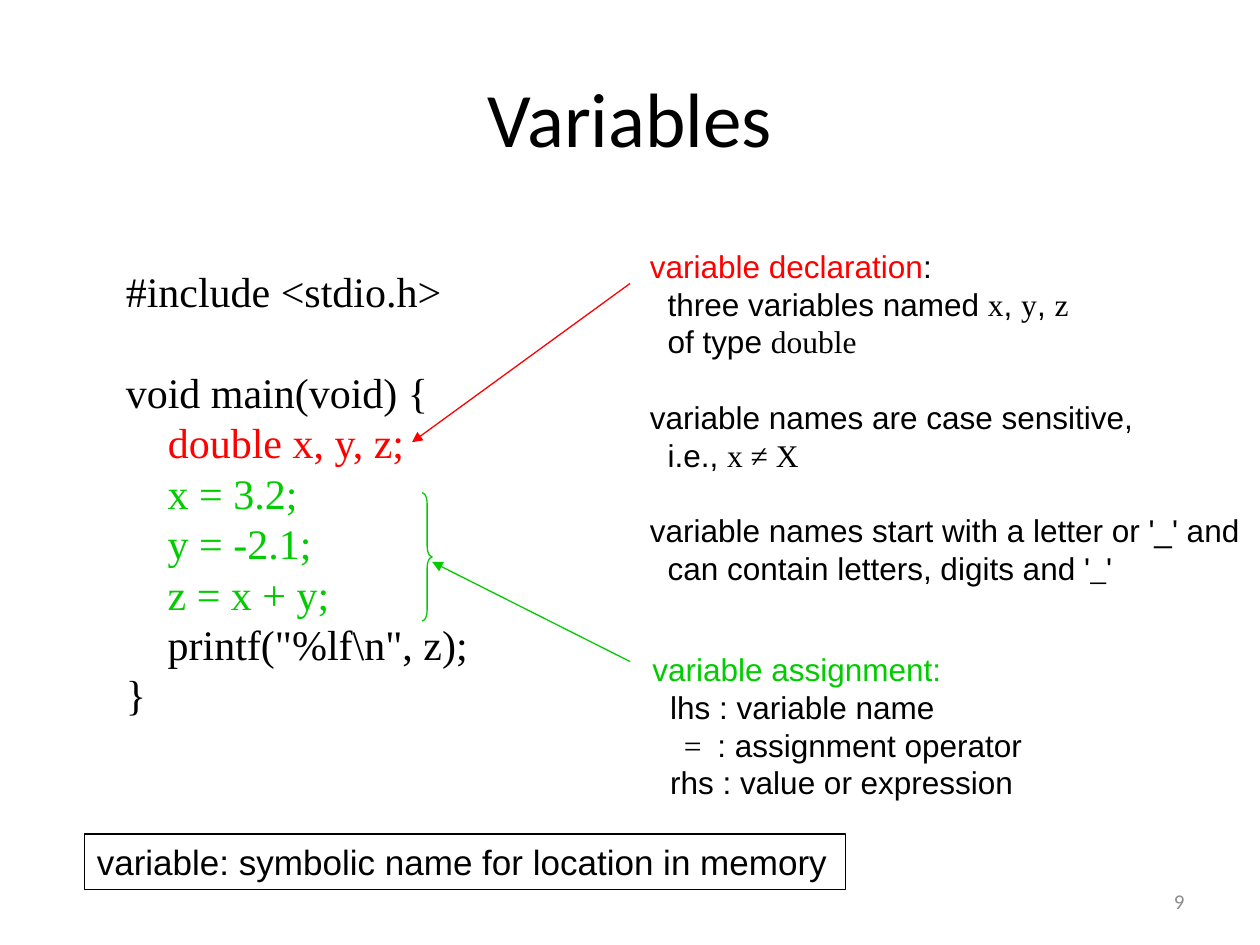
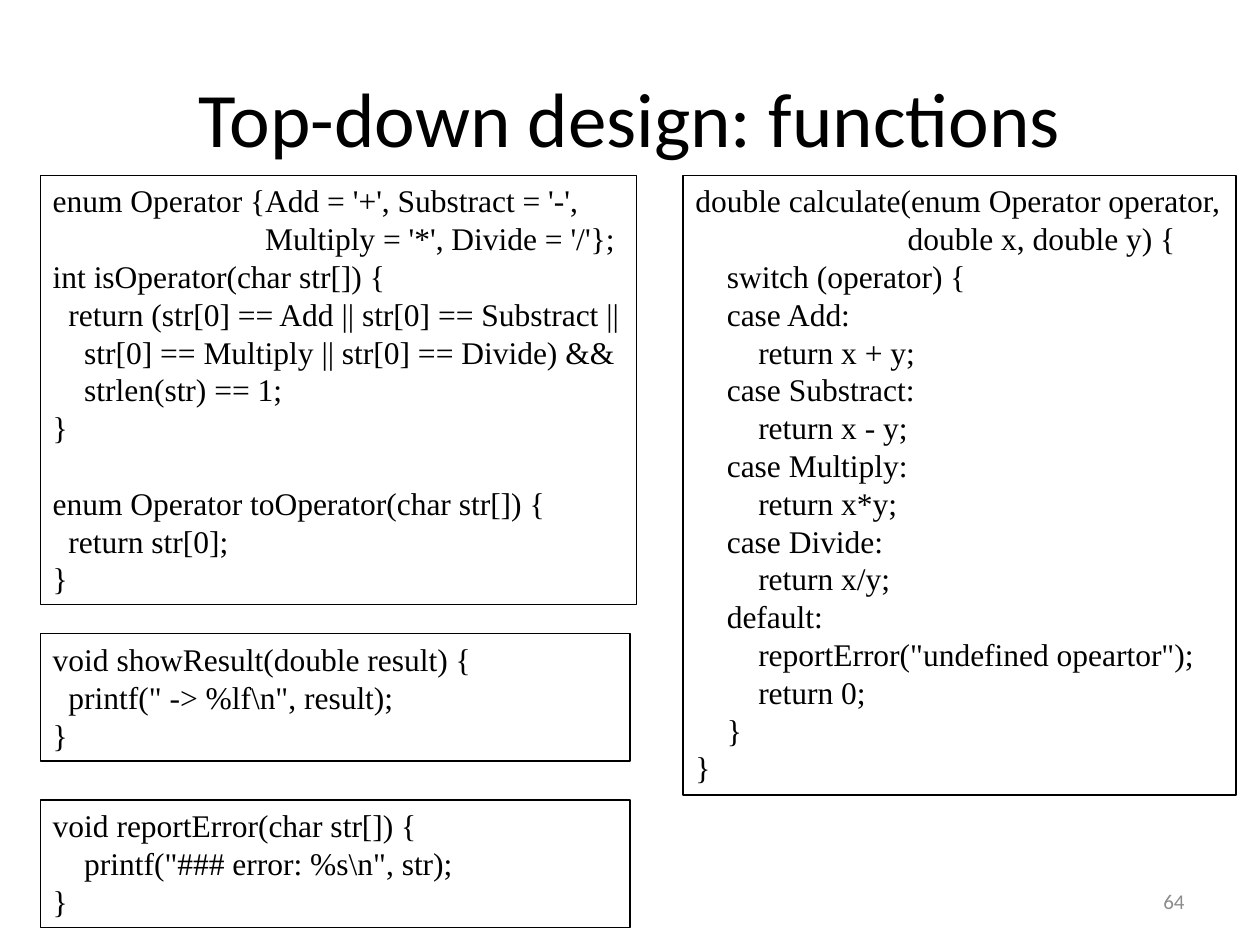
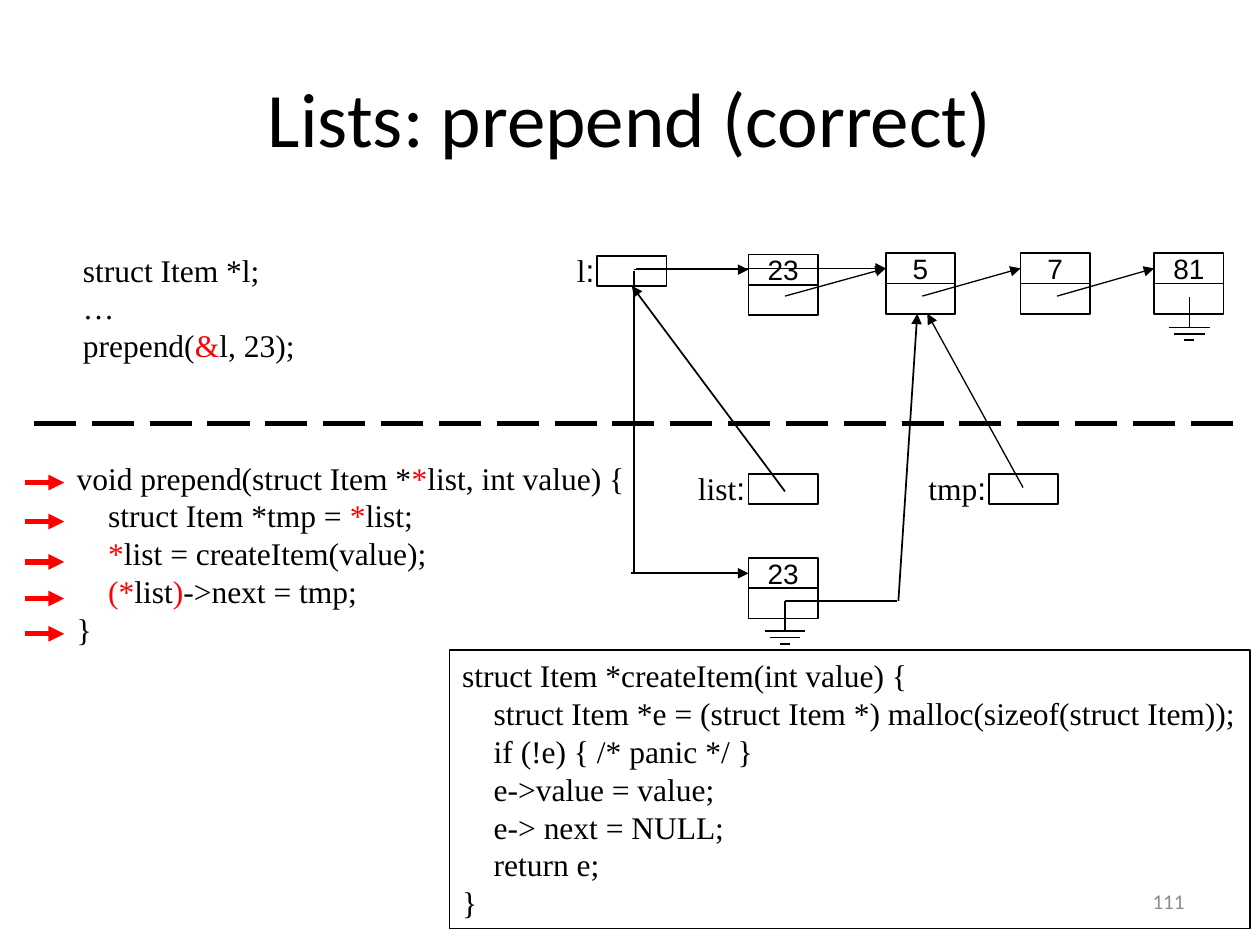
from dataclasses import dataclass

import pptx
import pptx.dml.color
import pptx.enum.dml
import pptx.enum.shapes
import pptx.enum.text
import pptx.oxml
import pptx.oxml.ns
import pptx.util

EMU_PER_PX = 9144  # 100 px to the inch
COLOURS = {"black": "000000", "white": "FFFFFF", "red": "FF0000",
           "green": "00CC00", "grey": "8C8C8C"}
HEADING, PROSE, CODE = "Calibri", "Arial", "Times New Roman"
LEADING = 1.2
SHAPES = pptx.enum.shapes.MSO_SHAPE
ANCHOR = pptx.enum.text.MSO_ANCHOR
ALIGN = pptx.enum.text.PP_ALIGN
LEFT_SIDE, BOTTOM_SIDE = 1, 2


@dataclass
class Run:
    text: str
    colour: str = "black"
    face: str = ""


@dataclass
class Line:
    runs: list
    indent: int = 0
    gap: bool = False


# Shared helpers
def px(*lengths):
    return [pptx.util.Emu(length * EMU_PER_PX) for length in lengths]


def rgb(name):
    return pptx.dml.color.RGBColor.from_string(COLOURS[name])


def assign(target, values):
    for key, value in values.items():
        setattr(target, key, value)


def red(text):
    return Run(text, "red")


def green(text):
    return Run(text, "green")


def code(text):
    return Run(text, face=CODE)


def write(frame, lines, size, face, align=ALIGN.LEFT, **frame_format):
    """Fill a frame with strings, run lists or Lines."""
    assign(frame, {"word_wrap": True, "auto_size": pptx.enum.text.MSO_AUTO_SIZE.NONE,
                   "vertical_anchor": ANCHOR.TOP, **frame_format})
    for number, line in enumerate(lines):
        if not isinstance(line, Line):
            line = Line(line if isinstance(line, list) else [line])
        paragraph = frame.add_paragraph() if number else frame.paragraphs[0]
        properties = paragraph._p.get_or_add_pPr()
        properties.set("marL", str(px(line.indent)[0]))
        properties.set("indent", "0")
        leading = pptx.util.Pt(size * LEADING)
        assign(paragraph, {"alignment": align, "line_spacing": leading,
                           "space_before": leading if line.gap else 0})
        for part in line.runs:
            part = Run(part) if isinstance(part, str) else part
            run = paragraph.add_run()
            run.text = part.text
            assign(run.font, {"size": pptx.util.Pt(size), "name": part.face or face})
            run.font.color.rgb = rgb(part.colour)


def text(slide, box, lines, size=18, face=CODE, **options):
    note = slide.shapes.add_textbox(*px(*box))
    write(note.text_frame, lines, size, face, **options)


def outline(slide, box, kind=SHAPES.RECTANGLE, colour="black", width=0.75, fill=None):
    shape = slide.shapes.add_shape(kind, *px(*box))
    shape.shadow.inherit = False
    if fill:
        shape.fill.solid()
        shape.fill.fore_color.rgb = rgb(fill)
    else:
        shape.fill.background()
    shape.line.color.rgb = rgb(colour)
    shape.line.width = pptx.util.Pt(width)
    return shape


def framed(slide, box, lines, size=18, face=CODE):
    write(outline(slide, box).text_frame, lines, size, face)


def link(slide, start, end, colour="black", width=1, arrow=False, dash=None,
         target=None, side=LEFT_SIDE):
    connector = slide.shapes.add_connector(
        pptx.enum.shapes.MSO_CONNECTOR.STRAIGHT, *px(*start, *end))
    if target is not None:
        connector.end_connect(target, side)
    connector.line.color.rgb = rgb(colour)
    assign(connector.line, {"width": pptx.util.Pt(width), "dash_style": dash})
    properties = connector._element.spPr
    namespace = pptx.oxml.ns.nsdecls("a")
    if arrow:
        properties.get_or_add_ln().append(
            pptx.oxml.parse_xml(f'<a:tailEnd {namespace} type="triangle"/>'))
    properties.append(pptx.oxml.parse_xml(f"<a:effectLst {namespace}/>"))


def new_slide(deck, heading, number):
    slide = deck.slides.add_slide(deck.slide_layouts[5])
    title = slide.shapes.title
    assign(title, dict(zip(("left", "top", "width", "height"), px(50, 30, 900, 125))))
    write(title.text_frame, [heading], 44, HEADING, ALIGN.CENTER,
          vertical_anchor=ANCHOR.MIDDLE)
    text(slide, (717, 695, 233, 40), [[Run(number, "grey")]], 12, HEADING,
         align=ALIGN.RIGHT, vertical_anchor=ANCHOR.MIDDLE)
    return slide


# Slide: variables
def declaration_notes(slide, left, top):
    link(slide, (left - 6, top + 34), (left - 179, top + 160), "red", 0.75, arrow=True)
    text(slide, (left, top, 493, 313), [
        [red("variable declaration"), ":"],
        Line(["three variables named ", code("x"), ", ", code("y"), ", ", code("z")], 14),
        Line(["of type ", code("double")], 14),
        Line(["variable names are case sensitive,"], gap=True),
        Line(["i.e., ", code("x ≠ X")], 14),
        Line(["variable names start with a letter or '_' and"], gap=True),
        Line(["can contain letters, digits and '", code("_"), "'"], 14),
    ], face=PROSE)


def assignment_notes(slide, left, top):
    link(slide, (left - 8, top + 14), (left - 165, top - 65), "green", 0.75, arrow=True)
    brace = outline(slide, (left - 173, top - 120, 8, 102), SHAPES.RIGHT_BRACE, "green")
    brace.adjustments[0] = 1.09
    text(slide, (left, top, 327, 130), [
        [green("variable assignment:")],
        Line(["lhs : variable name"], 14),
        Line([code("=  "), ": assignment operator"], 25),
        Line(["rhs : value or expression"], 14),
    ], face=PROSE)


def variables_slide(deck):
    slide = new_slide(deck, "Variables", "9")
    text(slide, (90, 206, 294, 374), [
        "#include <stdio.h>",
        Line(["void main(void) {"], gap=True),
        ["    ", red("double x, y, z;")],
        [green("    x = 3.2;")],
        [green("    y = -2.1;")],
        [green("    z = x + y;")],
        '    printf("%lf\\n", z);',
        "}",
    ], 24)
    declaration_notes(slide, 506, 191)
    assignment_notes(slide, 508, 511)
    framed(slide, (67, 662, 604, 44),
           ["variable: symbolic name for location in memory"], 20, PROSE)


# Slide: functions
def functions_slide(deck):
    slide = new_slide(deck, "Top-down design: functions", "64")
    framed(slide, (32, 139, 473, 341), [
        "enum Operator {Add = '+', Substract = '-',",
        "                           Multiply = '*', Divide = '/'};",
        "int isOperator(char str[]) {",
        "  return (str[0] == Add || str[0] == Substract ||",
        "    str[0] == Multiply || str[0] == Divide) &&",
        "    strlen(str) == 1;",
        "}",
        Line(["enum Operator toOperator(char str[]) {"], gap=True),
        "  return str[0];",
        "}",
    ])
    framed(slide, (542, 139, 439, 492), [
        "double calculate(enum Operator operator,",
        "                           double x, double y) {",
        "    switch (operator) {",
        "    case Add:",
        "        return x + y;",
        "    case Substract:",
        "        return x - y;",
        "    case Multiply:",
        "        return x*y;",
        "    case Divide:",
        "        return x/y;",
        "    default:",
        '        reportError("undefined opeartor");',
        "        return 0;",
        "    }",
        "}",
    ])
    framed(slide, (32, 503, 468, 101), [
        "void showResult(double result) {", '  printf(" -> %lf\\n", result);', "}"])
    framed(slide, (32, 635, 468, 101), [
        "void reportError(char str[]) {", '    printf("### error: %s\\n", str);', "}"])


# Slide: list prepend
def cell(slide, left, top):
    return outline(slide, (left, top, 55, 24), width=1, fill="white")


def node(slide, left, top, value):
    """A value cell above its pointer cell; returns the value cell."""
    value_cell = cell(slide, left, top)
    write(value_cell.text_frame, [value], 16, PROSE, ALIGN.CENTER, word_wrap=False,
          vertical_anchor=ANCHOR.MIDDLE,
          **dict.fromkeys(("margin_left", "margin_top", "margin_right", "margin_bottom"), 0))
    cell(slide, left, top + 24)
    return value_cell


def pointer(slide, left, top, name, label_width):
    pointer_cell = cell(slide, left, top)
    text(slide, (left - label_width + 8, top - 9, label_width, 40),
         [[name, Run(":", face=PROSE)]], word_wrap=False)
    return pointer_cell


def ground(slide, x, top):
    link(slide, (x, top), (x, top + 24))
    for drop, reach in ((24, 16), (29, 12), (34, 4)):
        link(slide, (x - reach, top + drop), (x + reach, top + drop))


def list_diagram(slide, left, top):
    # List items of the caller
    head = pointer(slide, left, top + 2, "l", 34)
    items = [("23", 120, 1), ("5", 229, 0), ("7", 336, 0), ("81", 442, 0)]
    cells = [node(slide, left + x, top + y, value) for value, x, y in items]
    for (_, x, _), following in zip(items, cells[1:]):
        link(slide, (left + x + 29, top + 34), (left + x + 109, top + 12),
             width=0.75, arrow=True, target=following)
    ground(slide, left + 470, top + 35)
    link(slide, (left + 29, top + 13), (left + 120, top + 13), arrow=True, target=cells[0])
    link(slide, (left + 31, top + 12), (left + 229, top + 12), width=0.75,
         arrow=True, target=cells[1])

    # Pointers of the callee
    pointer(slide, left + 120, top + 175, "list", 58)
    link(slide, (left + 149, top + 189), (left + 26, top + 24), arrow=True,
         target=head, side=BOTTOM_SIDE)
    pointer(slide, left + 311, top + 175, "tmp", 66)
    link(slide, (left + 338, top + 186), (left + 262, top + 48), width=0.75, arrow=True)

    # Created item
    created = node(slide, left + 120, top + 242, "23")
    link(slide, (left + 29, top + 14), (left + 29, top + 254))
    link(slide, (left + 27, top + 254), (left + 120, top + 254), arrow=True, target=created)
    link(slide, (left + 149, top + 276), (left + 238, top + 276))
    link(slide, (left + 239, top + 276), (left + 254, top + 48), arrow=True)
    ground(slide, left + 149, top + 276)


def prepend_code(slide, left, top):
    text(slide, (left, top, 455, 160), [
        ["void prepend(struct Item *", red("*"), "list, int value) {"],
        ["    struct Item *tmp = ", red("*"), "list;"],
        ["    ", red("*"), "list = createItem(value);"],
        ["    ", red("(*"), "list", red(")"), "->next = tmp;"],
        "}",
    ])
    for drop in (24, 55, 87, 116, 144):
        link(slide, (left - 31, top + drop), (left, top + drop), "red", 3, arrow=True)


def prepend_slide(deck):
    slide = new_slide(deck, "Lists: prepend (correct)", "111")
    text(slide, (56, 194, 188, 100),
         ["struct Item *l;", "…", ["prepend(", red("&"), "l, 23);"]])
    prepend_code(slide, 51, 359)
    list_diagram(slide, 474, 201)
    link(slide, (27, 336), (988, 336), width=3, dash=pptx.enum.dml.MSO_LINE.LONG_DASH)
    framed(slide, (357, 516, 635, 221), [
        "struct Item *createItem(int value) {",
        "    struct Item *e = (struct Item *) malloc(sizeof(struct Item));",
        "    if (!e) { /* panic */ }",
        "    e->value = value;",
        "    e-> next = NULL;",
        "    return e;",
        "}",
    ])


def main():
    deck = pptx.Presentation()
    assign(deck, dict(zip(("slide_width", "slide_height"), px(1000, 750))))
    variables_slide(deck)
    functions_slide(deck)
    prepend_slide(deck)
    deck.save("out.pptx")


if __name__ == "__main__":
    main()
